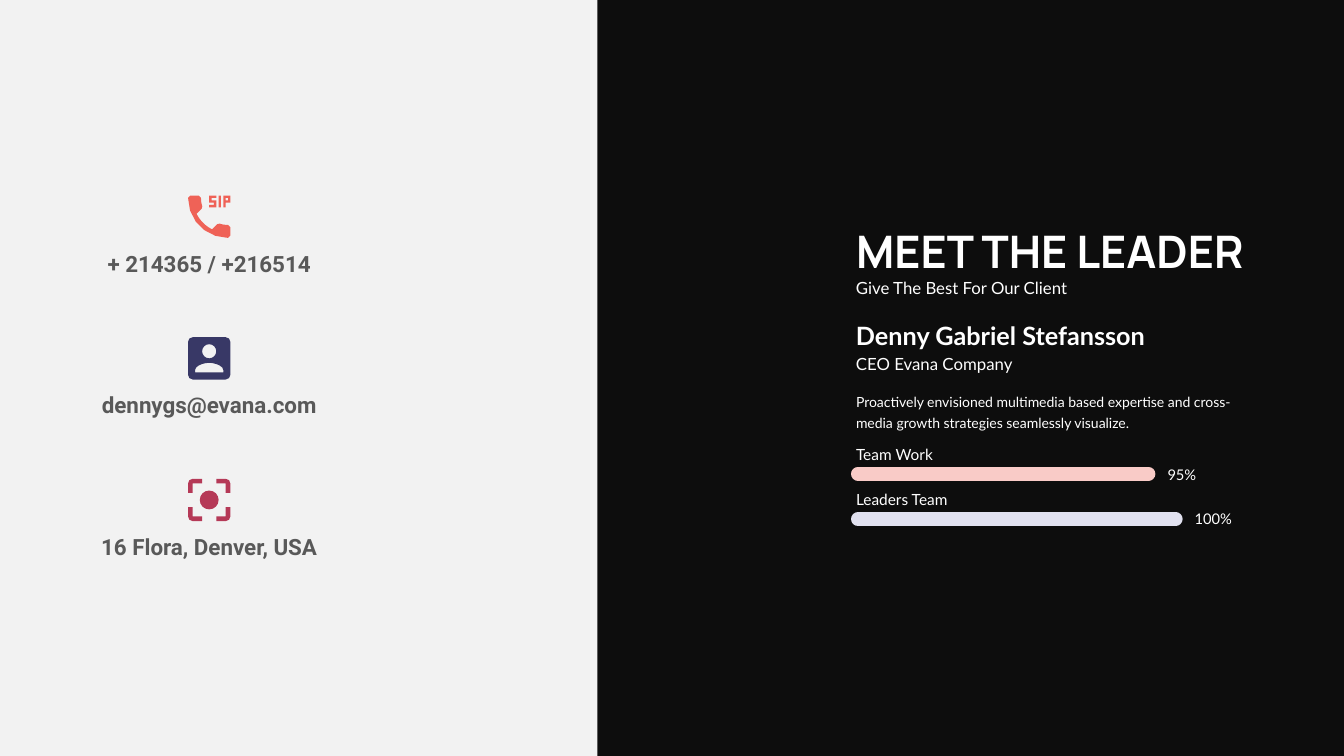
from math import cos, sin, tau

from pptx import Presentation
from pptx.dml.color import RGBColor
from pptx.enum.shapes import MSO_CONNECTOR, MSO_SHAPE
from pptx.enum.text import MSO_ANCHOR as ANCHOR, MSO_AUTO_SIZE as AUTO, PP_ALIGN as ALIGN
from pptx.oxml.ns import qn
from pptx.util import Inches, Pt

WIDTH, HEIGHT = 13.33, 7.5
ICON_SIZE, ICON_UNITS = 0.42, 18
CONTACT_LEFT, CONTACT_WIDTH = 0.98, 2.19
CONTACT_TOP, CONTACT_PITCH = 1.94, 1.405
PROFILE_LEFT = 8.49
SKILL_TOP, SKILL_PITCH = 4.42, 0.44
BAR_TOP, BAR_PITCH = 4.7, 0.45

BODY = {"name": "Lato", "size": Pt(12), "bold": False}
HEADING = {"name": "Manrope", "size": Pt(32), "bold": True}
PERSON = {**BODY, "size": Pt(18), "bold": True}
SUMMARY = {**BODY, "size": Pt(10)}
SKILL = {**BODY, "size": Pt(11)}
PERCENT = {**BODY, "size": Pt(10.5)}
CONTACT = {"name": "Roboto", "size": Pt(16), "bold": True}


def rgb(hex_code):
    return RGBColor.from_string(hex_code)


def paint(shape, color):
    shape.fill.solid()
    shape.fill.fore_color.rgb = rgb(color)
    shape.line.fill.background()
    shape.shadow.inherit = False


def write(box, text, font, color="FFFFFF", align=ALIGN.LEFT, anchor=ANCHOR.TOP, spacing=None):
    frame = box.text_frame
    layout = {"word_wrap": True, "auto_size": AUTO.SHAPE_TO_FIT_TEXT, "vertical_anchor": anchor,
              "margin_left": 0, "margin_top": 0, "margin_right": 0, "margin_bottom": 0}
    for key, value in layout.items():
        setattr(frame, key, value)
    paragraph = frame.paragraphs[0]
    paragraph.text = text
    paragraph.alignment = align
    if spacing:
        paragraph.line_spacing = Pt(spacing)
    for key, value in font.items():
        setattr(paragraph.font, key, value)
    paragraph.font.color.rgb = rgb(color)


def add_text(slide, area, text, font, **options):
    write(slide.shapes.add_textbox(*map(Inches, area)), text, font, **options)


def flatten(contour):
    points = [contour[0]]
    for step in contour[1:]:
        if len(step) == 2:
            points.append(step)
            continue
        controls = [points[-1], step[:2], step[2:4], step[4:]]
        span = max(abs(step[4] - points[-1][0]), abs(step[5] - points[-1][1]))
        count = min(5, max(1, round(span)))
        for t in (n / count for n in range(1, count + 1)):
            weights = ((1 - t) ** 3, 3 * t * (1 - t) ** 2, 3 * t * t * (1 - t), t ** 3)
            points.append(tuple(sum(w * p[axis] for w, p in zip(weights, controls))
                                for axis in (0, 1)))
    return points


def circle(x, y, radius, count=16):
    return [(x + radius * cos(tau * n / count), y + radius * sin(tau * n / count))
            for n in range(count)]


def box_outline(left, top, right, bottom):
    return [(left, top), (right, top), (right, bottom), (left, bottom)]


def quarter_turns(points):
    turns = [points]
    for _ in range(3):
        turns.append([(ICON_UNITS - y, x) for x, y in turns[-1]])
    return turns


def phone_icon():
    handset = [
        (17, 12.5), (15.75, 12.5, 14.55, 12.3, 13.43, 11.93),
        (13.08, 11.82, 12.69, 11.9, 12.41, 12.17), (10.21, 14.37),
        (7.38, 12.93, 5.06, 10.62, 3.62, 7.79), (5.82, 5.58),
        (6.1, 5.31, 6.18, 4.92, 6.07, 4.57), (5.7, 3.45, 5.5, 2.25, 5.5, 1),
        (5.5, 0.45, 5.05, 0, 4.5, 0), (1, 0), (0.45, 0, 0, 0.45, 0, 1),
        (0, 10.39, 7.61, 18, 17, 18), (17.55, 18, 18, 17.55, 18, 17),
        (18, 13.5), (18, 12.95, 17.55, 12.5, 17, 12.5)]
    letter_s = [(12, 2), (12, 5), (9, 5), (9, 4), (11, 4), (11, 3), (9, 3), (9, 0),
                (12, 0), (12, 1), (10, 1), (10, 2)]
    letter_p = [(15, 0), (18, 0), (18, 3), (16, 3), (16, 5), (15, 5)]
    return [flatten(handset), letter_s, box_outline(13, 0, 14, 5),
            letter_p, box_outline(16, 1, 17, 2)]


def person_icon():
    corner = flatten([(0, 2), (0, 0.9, 0.9, 0, 2, 0)])
    frame = [point for turn in quarter_turns(corner) for point in turn]
    shoulders = flatten([(3, 14), (3, 12, 7, 10.9, 9, 10.9), (11, 10.9, 15, 12, 15, 14),
                         (15, 15), (3, 15)])
    return [frame, circle(9, 6, 3), shoulders]


def focus_icon():
    bracket = flatten([(0, 6), (0, 2), (0, 0.9, 0.9, 0, 2, 0),
                       (6, 0), (6, 2), (2, 2), (2, 6)])
    return quarter_turns(bracket) + [circle(9, 9, 4)]


def add_icon(slide, left, top, contours, color):
    detail = 100
    outlines = [[(x * detail, y * detail) for x, y in contour] for contour in contours]
    scale = Inches(ICON_SIZE) / (ICON_UNITS * detail)
    builder = slide.shapes.build_freeform(*outlines[0][0], scale=scale)
    for index, outline in enumerate(outlines):
        if index:
            builder.move_to(*outline[0])
        builder.add_line_segments(outline[1:], close=True)
    paint(builder.convert_to_shape(Inches(left), Inches(top)), color)


def add_contact(slide, row, contours, color, text):
    top = CONTACT_TOP + row * CONTACT_PITCH
    add_icon(slide, CONTACT_LEFT + (CONTACT_WIDTH - ICON_SIZE) / 2, top, contours, color)
    add_text(slide, (CONTACT_LEFT, top + 0.54, CONTACT_WIDTH, 0.27), text, CONTACT,
             color="595959", align=ALIGN.CENTER)


def add_skill(slide, row, label, percent, length, color):
    top = SKILL_TOP + row * SKILL_PITCH
    middle = BAR_TOP + row * BAR_PITCH
    start = PROFILE_LEFT + 0.02
    add_text(slide, (PROFILE_LEFT, top, 1.85, 0.19), label, SKILL)
    bar = slide.shapes.add_connector(
        MSO_CONNECTOR.STRAIGHT, *map(Inches, (start + length, middle, start, middle)))
    bar.line.color.rgb = rgb(color)
    bar.line.width = Pt(10)
    bar.line._get_or_add_ln().set("cap", "rnd")
    properties = bar._element.spPr
    properties.append(properties.makeelement(qn("a:effectLst"), {}))
    add_text(slide, (start + length + 0.19, top + 0.2, 0.43, 0.18), percent, PERCENT)


def add_title(slide, area, text):
    title = slide.shapes.title
    for key, value in zip(("left", "top", "width", "height"), area):
        setattr(title, key, Inches(value))
    write(title, text, HEADING, anchor=ANCHOR.MIDDLE, spacing=35)


def main():
    deck = Presentation()
    deck.slide_width, deck.slide_height = Inches(WIDTH), Inches(HEIGHT)
    slide = deck.slides.add_slide(deck.slide_layouts[5])
    slide.background.fill.solid()
    slide.background.fill.fore_color.rgb = rgb("0D0D0D")

    contact_panel = slide.shapes.add_shape(
        MSO_SHAPE.RECTANGLE, 0, 0, Inches(WIDTH * 4 / 9), Inches(HEIGHT))
    paint(contact_panel, "F2F2F2")

    contacts = [(phone_icon(), "EF6257", "+ 214365 / +216514"),
                (person_icon(), "383866", "dennygs@evana.com"),
                (focus_icon(), "B53957", "16 Flora, Denver, USA")]
    for row, contact in enumerate(contacts):
        add_contact(slide, row, *contact)

    add_title(slide, (PROFILE_LEFT, 2.26, 4.06, 0.49), "MEET THE LEADER")
    profile = [(2.76, 4.06, 0.2, "Give The Best For Our Client", BODY, None),
               (3.18, 3.37, 0.3, "Denny Gabriel Stefansson", PERSON, None),
               (3.51, 3.37, 0.2, "CEO Evana Company", BODY, None),
               (3.86, 3.78, 0.4, "Proactively envisioned multimedia based expertise and "
                "cross-media growth strategies seamlessly visualize.", SUMMARY, 15)]
    for top, width, height, text, font, spacing in profile:
        add_text(slide, (PROFILE_LEFT, top, width, height), text, font, spacing=spacing)

    skills = [("Team Work", "95%", 2.88, "F9CBC7"),
              ("Leaders Team", "100%", 3.15, "E1E1EF")]
    for row, skill in enumerate(skills):
        add_skill(slide, row, *skill)

    deck.save("out.pptx")


if __name__ == "__main__":
    main()
